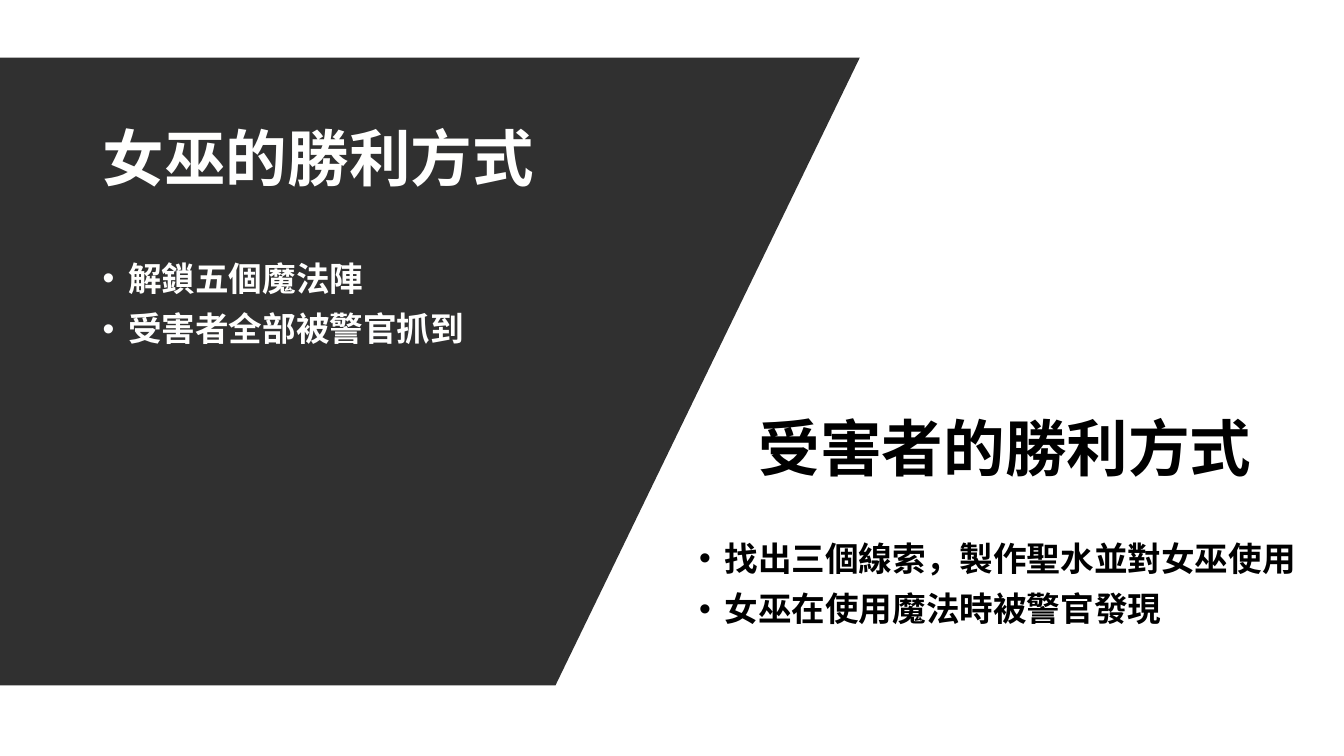
from lxml.etree import SubElement
from pptx import Presentation
from pptx.dml.color import RGBColor
from pptx.enum.shapes import MSO_SHAPE
from pptx.enum.text import MSO_ANCHOR
from pptx.oxml.ns import qn
from pptx.util import Cm, Pt

COLORS = {"backdrop": "000000", "paper": "FFFFFF", "panel": "303030",
          "light": "FFFFFE", "dark": "000000"}
FONT = "Noto Sans CJK SC"
WIDTH, HEIGHT = Cm(33.87), Cm(19.05)


def set_all(target, values):
    for name, value in values.items():
        setattr(target, name, value)


class SlideBuilder:
    """Holds the text style and the slide being filled."""

    heading = {"size": Pt(44), "bold": True, "name": FONT}
    listing = {"size": Pt(24), "bold": True, "name": FONT}

    def __init__(self, slide):
        self.slide = slide

    def paint(self, fill, color):
        fill.solid()
        fill.fore_color.rgb = RGBColor.from_string(COLORS[color])

    def finish(self, shape, color):
        """Give a shape a plain fill with no line or shadow."""
        self.paint(shape.fill, color)
        shape.line.fill.background()
        shape.shadow.inherit = False

    def background(self, color):
        self.paint(self.slide.background.fill, color)

    def rectangle(self, left, top, width, height, color):
        shape = self.slide.shapes.add_shape(MSO_SHAPE.RECTANGLE, left, top, width, height)
        self.finish(shape, color)

    def polygon(self, points, color):
        start, *others = [(Cm(x), Cm(y)) for x, y in points]
        builder = self.slide.shapes.build_freeform(*start)
        builder.add_line_segments(others, close=True)
        self.finish(builder.convert_to_shape(), color)

    def text(self, area, lines, color, style, anchor):
        box = self.slide.shapes.add_textbox(*map(Cm, area))
        frame = box.text_frame
        set_all(frame, {"word_wrap": True, "vertical_anchor": anchor})
        paras = [frame.paragraphs[0]] + [frame.add_paragraph() for _ in lines[1:]]
        for para, line in zip(paras, lines):
            para.line_spacing = 0.9
            span = para.add_run()
            span.text = line
            set_all(span.font, style)
            span.font.color.rgb = RGBColor.from_string(COLORS[color])
            # East Asian glyphs take their typeface from a separate element
            SubElement(span.font._element, qn("a:ea"), typeface=FONT)
        return paras

    def title(self, area, line, color):
        self.text(area, [line], color, self.heading, MSO_ANCHOR.MIDDLE)

    def bullets(self, area, lines, color):
        paras = self.text(area, lines, color, self.listing, MSO_ANCHOR.TOP)
        for para in paras[1:]:
            para.space_before = Pt(10)
        for para in paras:
            properties = para._p.get_or_add_pPr()
            properties.set("marL", str(Cm(0.64)))
            properties.set("indent", str(-Cm(0.64)))
            SubElement(properties, qn("a:buFont"), typeface="Arial")
            SubElement(properties, qn("a:buChar"), char="•")


def main():
    deck = Presentation()
    set_all(deck, {"slide_width": WIDTH, "slide_height": HEIGHT})
    page = SlideBuilder(deck.slides.add_slide(deck.slide_layouts[6]))

    page.background("backdrop")
    page.rectangle(0, 0, WIDTH, HEIGHT, "paper")
    page.polygon([(0, 1.45), (21.67, 1.45), (14, 17.27), (0, 17.27)], "panel")

    page.title((2.34, 2.54, 14.2, 3.05), "女巫的勝利方式", "light")
    page.bullets((2.34, 6.48, 12.17, 9.86),
                 ["解鎖五個魔法陣", "受害者全部被警官抓到"], "light")
    page.bullets((17.37, 13.54, 15.75, 3.23),
                 ["找出三個線索，製作聖水並對女巫使用", "女巫在使用魔法時被警官發現"], "dark")
    page.title((18.87, 9.55, 15.75, 3.68), "受害者的勝利方式", "dark")

    deck.save("out.pptx")


if __name__ == "__main__":
    main()
